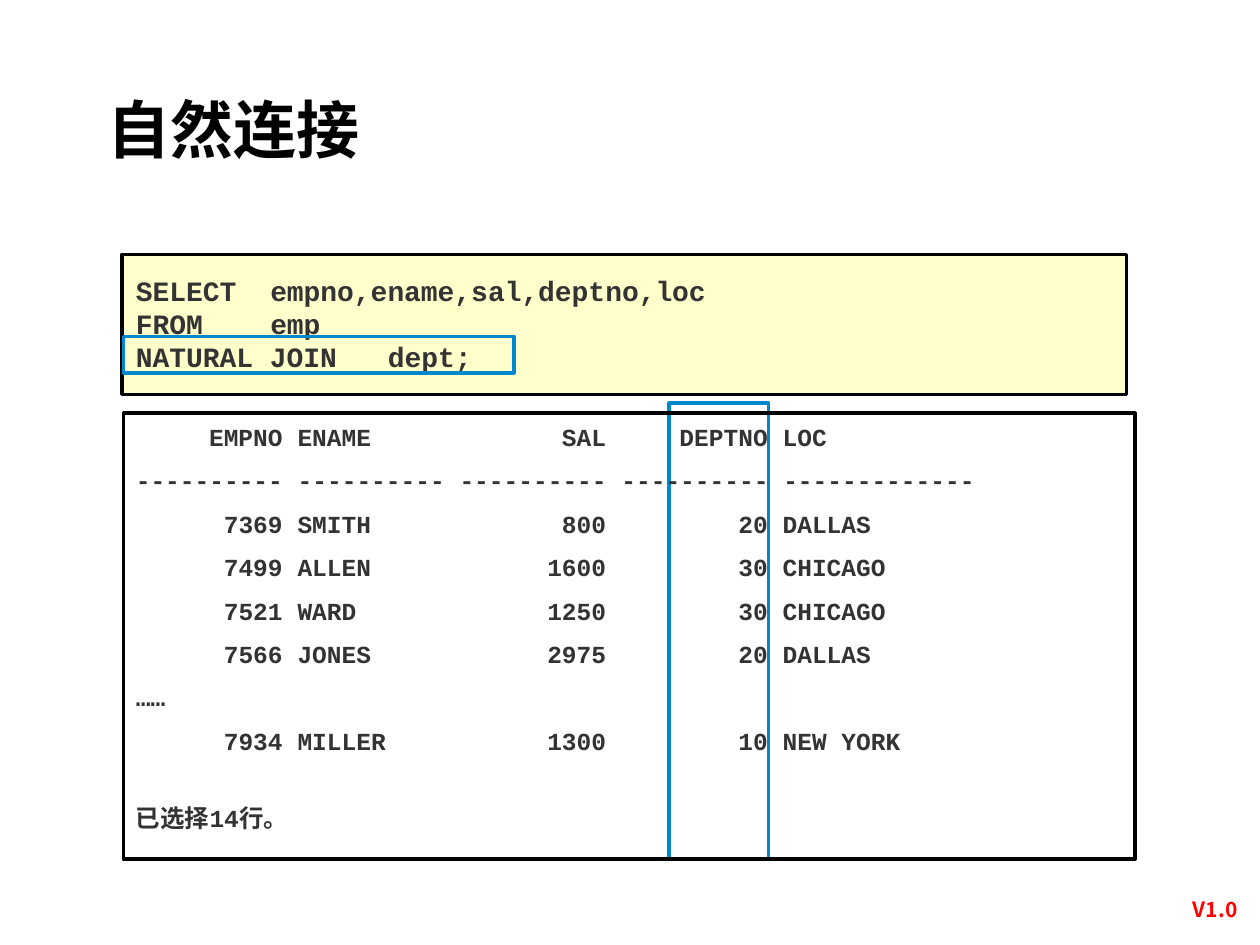
from pptx import Presentation
from pptx.dml.color import RGBColor
from pptx.enum.shapes import MSO_SHAPE
from pptx.enum.text import MSO_ANCHOR, PP_ALIGN
from pptx.oxml.ns import qn
from pptx.util import Inches, Pt
from lxml.etree import SubElement

# Content
TITLE = "自然连接"
VERSION = "V1.0"
QUERY = [
    "SELECT\tempno,ename,sal,deptno,loc",
    "FROM\temp",
    "NATURAL JOIN\tdept;",
]
HEADER = ("EMPNO", "ENAME", "SAL", "DEPTNO", "LOC")
RULE_WIDTHS = (10, 10, 10, 10, 13)
ROWS = [
    (7369, "SMITH", 800, 20, "DALLAS"),
    (7499, "ALLEN", 1600, 30, "CHICAGO"),
    (7521, "WARD", 1250, 30, "CHICAGO"),
    (7566, "JONES", 2975, 20, "DALLAS"),
]
LAST_ROW = (7934, "MILLER", 1300, 10, "NEW YORK")
FOOTER = "已选择14行。"

THEME = {
    "mono": "Courier New", "sans": "Noto Sans CJK SC",
    "black": "000000", "ink": "333333", "red": "FF0000",
    "paper": "FFFFCC", "blue": "0088CC",
    "title": 36, "query": 16, "result": 14, "version": 12, "line": 2,
}


def character_width(size):
    """Width in inches of one monospaced character."""
    return 0.6 * size / 72


# Tab stops, in characters from the left text edge
QUERY_TABS = [(8, "l"), (15, "l")]
RESULT_TABS = [(10, "r"), (11, "l"), (32, "r"), (43, "r"), (44, "l")]

presentation = Presentation()
presentation.slide_width, presentation.slide_height = Inches(10), Inches(7.5)
slide = presentation.slides.add_slide(presentation.slide_layouts[5])


def place(box):
    return [Inches(length) for length in box]


def add_box(box, line, fill=None):
    shape = slide.shapes.add_shape(MSO_SHAPE.RECTANGLE, *place(box))
    shape.shadow.inherit = False
    shape.line.color.rgb = RGBColor.from_string(THEME[line])
    shape.line.width = Pt(THEME["line"])
    if fill:
        shape.fill.solid()
        shape.fill.fore_color.rgb = RGBColor.from_string(THEME[fill])
    else:
        shape.fill.background()
    return shape


def write(shape, lines, font, size, color, align=PP_ALIGN.LEFT, tabs=()):
    """Fill a shape with bold lines and set their tab stops."""
    frame = shape.text_frame
    frame.text = "\n".join(lines)
    for paragraph in frame.paragraphs:
        paragraph.alignment = align
        if tabs:
            tab_list = SubElement(paragraph._p.get_or_add_pPr(), qn("a:tabLst"))
            for column, side in tabs:
                position = Inches(column * character_width(THEME[size]))
                SubElement(tab_list, qn("a:tab"), pos=str(int(position)), algn=side)
        for run in paragraph.runs:
            run.font.name = THEME[font]
            run.font.size = Pt(THEME[size])
            run.font.bold = True
            run.font.color.rgb = RGBColor.from_string(THEME[color])
            SubElement(run._r.get_or_add_rPr(), qn("a:ea"), typeface=THEME["sans"])
    return frame


def add_text(box, *args, wrap=True, **options):
    shape = slide.shapes.add_textbox(*place(box))
    frame = write(shape, *args, **options)
    frame.word_wrap = wrap
    return frame


# Title
title = slide.shapes.title
title.left, title.top, title.width, title.height = place((0.75, 0.67, 8.5, 1.04))
write(title, [TITLE], "sans", "title", "black").vertical_anchor = MSO_ANCHOR.TOP

# Version mark
add_text((9.25, 7.07, 0.79, 0.3), [VERSION], "sans", "version", "red",
         align=PP_ALIGN.CENTER)

# Query
add_box((0.97, 2.02, 7.97, 1.11), "black", "paper")
query = add_text((0.98, 2.02, 5.39, 1.09), QUERY, "mono", "query", "ink",
                 tabs=QUERY_TABS, wrap=False)
query.vertical_anchor = MSO_ANCHOR.MIDDLE
for paragraph in query.paragraphs:
    paragraph.line_spacing = Pt(19)

# Highlights: join column and join clause
add_box((5.31, 3.2, 0.79, 3.62), "blue")
add_box((0.98, 2.67, 3.1, 0.29), "blue")


# Query result: numbers end and words start at tab stops
def result_line(values):
    return "\t" + "\t".join(str(value) for value in values)


rule = " ".join("-" * width for width in RULE_WIDTHS)
lines = [result_line(HEADER), rule, *map(result_line, ROWS), "……",
         result_line(LAST_ROW), FOOTER]
result_box = add_box((0.98, 3.28, 8.03, 3.54), "black")
result = write(result_box, lines, "mono", "result", "ink", tabs=RESULT_TABS)
result.vertical_anchor = MSO_ANCHOR.TOP
result.margin_top = Inches(0.07)
for paragraph in result.paragraphs[1:]:
    paragraph.space_before = Pt(8)
result.paragraphs[-1].space_before = Pt(27)

presentation.save("out.pptx")
